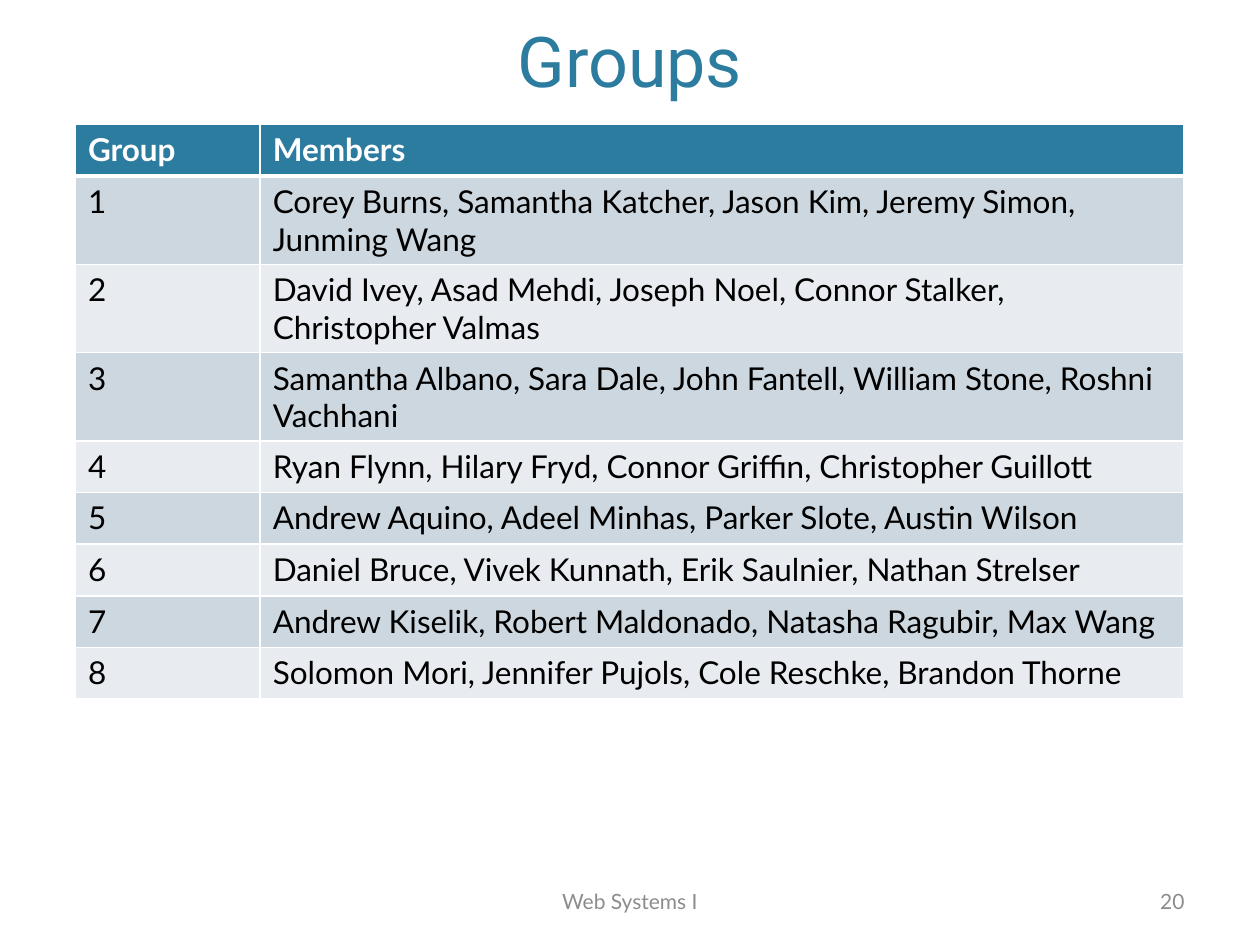
from lxml.etree import SubElement
from pptx import Presentation
from pptx.dml.color import RGBColor as Rgb
from pptx.enum.text import MSO_ANCHOR as Anchor, PP_ALIGN as Align
from pptx.oxml.ns import qn
from pptx.util import Cm, Pt

COLORS = {"teal": "2C7C9F", "white": "FFFFFF", "black": "000000",
          "dark": "CDD7DF", "light": "E8ECF0", "gray": "8C8C8C"}

GROUPS = [
    "Corey Burns, Samantha Katcher, Jason Kim, Jeremy Simon, Junming Wang",
    "David Ivey, Asad Mehdi, Joseph Noel, Connor Stalker, Christopher Valmas",
    "Samantha Albano, Sara Dale, John Fantell, William Stone, Roshni Vachhani",
    "Ryan Flynn, Hilary Fryd, Connor Griffin, Christopher Guillott",
    "Andrew Aquino, Adeel Minhas, Parker Slote, Austin Wilson",
    "Daniel Bruce, Vivek Kunnath, Erik Saulnier, Nathan Strelser",
    "Andrew Kiselik, Robert Maldonado, Natasha Ragubir, Max Wang",
    "Solomon Mori, Jennifer Pujols, Cole Reschke, Brandon Thorne",
]


def color(name):
    return Rgb.from_string(COLORS[name])


def style(para, size, tint, face="Lato", bold=False, align=Align.LEFT):
    para.alignment = align
    font = para.font
    font.name, font.size, font.bold = face, Pt(size), bold
    font.color.rgb = color(tint)


def add_edges(cell, below):
    # Edges go in before the fill, as the schema asks
    props = cell._tc.get_or_add_tcPr()
    for spot, side in enumerate("LRTB"):
        width = below if side == "B" else 1
        line = SubElement(props, qn(f"a:ln{side}"), w=str(Pt(width)))
        fill = SubElement(line, qn("a:solidFill"))
        SubElement(fill, qn("a:srgbClr"), val=COLORS["white"])
        props.insert(spot, line)


def add_title(slide, box, text):
    title = slide.shapes.title
    title.left, title.top, title.width, title.height = box
    frame = title.text_frame
    frame.text = text
    frame.vertical_anchor = Anchor.BOTTOM
    style(frame.paragraphs[0], 40, "teal", "Roboto", align=Align.CENTER)


def add_groups(slide, box, groups):
    left, top, width, height = box
    rows = [("Group", "Members")]
    rows += [(str(num), names) for num, names in enumerate(groups, 1)]
    table = slide.shapes.add_table(len(rows), 2, *box).table
    table.columns[0].width = width // 6
    table.columns[1].width = width - width // 6
    for r, row in enumerate(rows):
        head = r == 0
        back = "teal" if head else "dark" if r % 2 else "light"
        for c, text in enumerate(row):
            cell = table.cell(r, c)
            cell.text = text
            cell.fill.solid()
            cell.fill.fore_color.rgb = color(back)
            style(cell.text_frame.paragraphs[0], 18,
                  "white" if head else "black", bold=head)
            add_edges(cell, 3 if head else 1)


def add_note(slide, box, text, align):
    frame = slide.shapes.add_textbox(*box).text_frame
    frame.word_wrap = True
    frame.vertical_anchor = Anchor.MIDDLE
    frame.text = text
    style(frame.paragraphs[0], 12, "gray", align=align)


def add_footer(slide, box, text, page):
    left, top, width, height = box
    mid, end = Cm(8.05), Cm(5.92)
    add_note(slide, (left + (width - mid) // 2, top, mid, height),
             text, Align.CENTER)
    add_note(slide, (left + width - end, top, end, height),
             page, Align.RIGHT)


deck = Presentation()
deck.slide_width, deck.slide_height = Cm(25.4), Cm(19.05)
slide = deck.slides.add_slide(deck.slide_layouts[5])

# Title
add_title(slide, (Cm(1.52), Cm(0.3), Cm(22.35), Cm(1.88)), "Groups")
# Table of groups
add_groups(slide, (Cm(1.52), Cm(2.51), Cm(22.35), Cm(9.37)), GROUPS)
# Footer and page number
add_footer(slide, (Cm(1.27), Cm(17.65), Cm(22.86), Cm(1.02)),
           "Web Systems I", "20")

deck.save("out.pptx")
